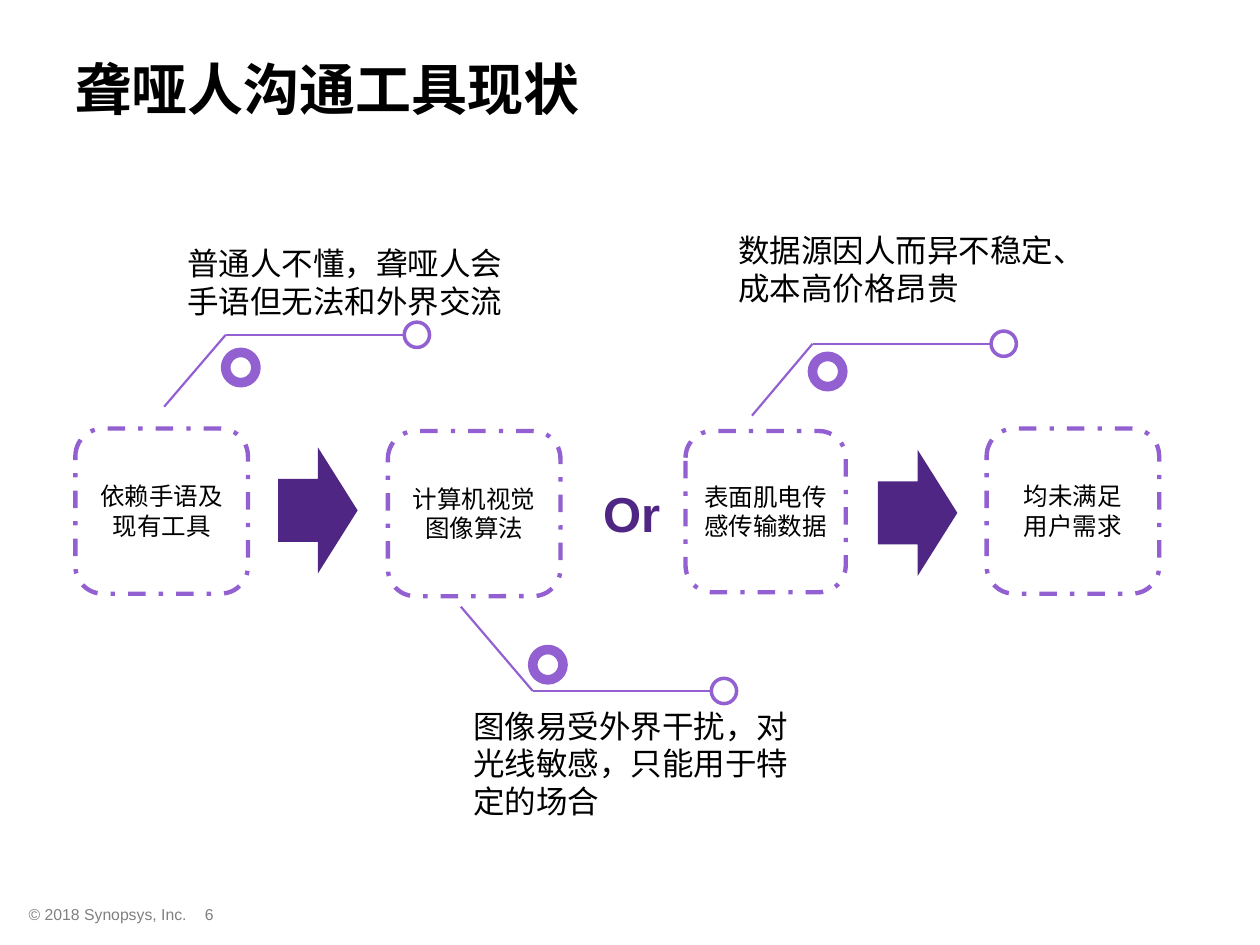
from dataclasses import dataclass

from lxml.etree import SubElement
from pptx import Presentation
from pptx.dml.color import RGBColor
from pptx.enum.dml import MSO_LINE
from pptx.enum.shapes import MSO_CONNECTOR, MSO_SHAPE
from pptx.enum.text import MSO_ANCHOR, PP_ALIGN
from pptx.oxml.ns import qn
from pptx.util import Cm, Pt


@dataclass(frozen=True)
class Theme:
    black: RGBColor = RGBColor(0x00, 0x00, 0x00)
    white: RGBColor = RGBColor(0xFF, 0xFF, 0xFF)
    grey: RGBColor = RGBColor(0x80, 0x80, 0x80)
    violet: RGBColor = RGBColor(0x92, 0x60, 0xD1)
    purple: RGBColor = RGBColor(0x4F, 0x26, 0x83)
    latin: str = "Arial"
    chinese: str = "Noto Sans CJK SC"
    title: int = 32
    choice: int = 28
    note: int = 18
    label: int = 14
    footer: int = 9


THEME = Theme()


def write(shape, text, size, align=PP_ALIGN.LEFT, anchor=MSO_ANCHOR.TOP,
          color=THEME.black, bold=False, name=THEME.latin, spacing=None):
    frame = shape.text_frame
    frame.word_wrap = True
    frame.vertical_anchor = anchor
    paragraph = frame.paragraphs[0]
    paragraph.alignment = align
    paragraph.line_spacing = spacing
    run = paragraph.add_run()
    run.text = text
    for key, value in {"name": name, "size": Pt(size), "bold": bold}.items():
        setattr(run.font, key, value)
    run.font.color.rgb = color
    SubElement(run.font._element, qn("a:ea")).set("typeface", THEME.chinese)


def add_text(slide, box, text, size, **formats):
    shape = slide.shapes.add_textbox(*map(Cm, box))
    write(shape, text, size, **formats)


def add_preset(slide, kind, box, fill=None, line_width=None, dash=None):
    shape = slide.shapes.add_shape(kind, *map(Cm, box))
    shape.shadow.inherit = False
    if fill is None:
        shape.fill.background()
    else:
        shape.fill.solid()
        shape.fill.fore_color.rgb = fill
    if line_width is None:
        shape.line.fill.background()
    else:
        shape.line.color.rgb = THEME.violet
        shape.line.width = Pt(line_width)
        shape.line.dash_style = dash


def add_line(slide, start, end):
    line = slide.shapes.add_connector(MSO_CONNECTOR.STRAIGHT, *map(Cm, start + end))
    line.line.color.rgb = THEME.violet
    line.line.width = Pt(1.25)
    SubElement(line._element.spPr, qn("a:effectLst"))


def add_circle(slide, center_x, center_y, size, line_width):
    box = (center_x - size / 2, center_y - size / 2, size, size)
    add_preset(slide, MSO_SHAPE.OVAL, box, THEME.white, line_width)


def add_card(slide, box, text, label_width):
    """Dashed card with a label centred on it."""
    left, top, width, height = box
    add_preset(slide, MSO_SHAPE.ROUNDED_RECTANGLE, box, None, 2.5, MSO_LINE.DASH_DOT)
    label_height = 1.45
    label = (left + (width - label_width) / 2, top + (height - label_height) / 2,
             label_width, label_height)
    add_text(slide, label, text, THEME.label, align=PP_ALIGN.CENTER,
             name=THEME.chinese)


def add_callout(slide, elbow, tail, ring_drop, note_offset, note_height, text):
    """Bent leader with two circles and a note, placed around its elbow."""
    x, y = elbow
    run, end_size, ring_size = 3.6, 0.51, 0.61
    add_line(slide, (x + tail[0], y + tail[1]), elbow)
    add_line(slide, elbow, (x + run, y))
    add_circle(slide, x + ring_size / 2, y + ring_drop, ring_size, 5.5)
    add_circle(slide, x + run + end_size / 2, y, end_size, 2)
    note = (x + note_offset[0], y + note_offset[1], 7.04, note_height)
    add_text(slide, note, text, THEME.note)


def add_title(slide, box, text):
    title = slide.shapes.title
    for key, value in zip(("left", "top", "width", "height"), box):
        setattr(title, key, Cm(value))
    write(title, text, THEME.title, anchor=MSO_ANCHOR.MIDDLE, bold=True)


def add_footer(slide, box):
    left, top, width, height = box
    add_text(slide, box, "© 2018 Synopsys, Inc.", THEME.footer, color=THEME.grey)
    add_text(slide, (left + 3, top, 1.78, height), "6", THEME.footer,
             align=PP_ALIGN.CENTER, color=THEME.grey)


def main():
    presentation = Presentation()
    presentation.slide_width, presentation.slide_height = Cm(25.4), Cm(19.05)
    slide = presentation.slides.add_slide(presentation.slide_layouts[5])
    add_title(slide, (1.27, 0.18, 24.13, 3.18), "聋哑人沟通工具现状")

    # Flow of cards, arrows and the choice between methods
    for box, text, label_width in (
        ((1.52, 8.64, 3.48, 3.33), "依赖手语及现有工具", 3.0),
        ((7.82, 8.69, 3.48, 3.33), "计算机视觉图像算法", 3.07),
        ((13.82, 8.69, 3.23, 3.25), "表面肌电传感传输数据", 3.18),
        ((19.89, 8.64, 3.48, 3.33), "均未满足用户需求", 2.67),
    ):
        add_card(slide, box, text, label_width)
    for left, top in ((5.61, 9.02), (17.7, 9.07)):
        add_preset(slide, MSO_SHAPE.RIGHT_ARROW, (left, top, 1.6, 2.54), THEME.purple)
    add_text(slide, (11.91, 9.63, 1.88, 1.45), "Or", THEME.choice,
             color=THEME.purple, bold=True)

    # Drawbacks of each method
    for callout in (
        ((4.55, 6.75), (-1.24, 1.45), 0.66, (-1.02, -1.95), 1.8,
         "普通人不懂，聋哑人会手语但无法和外界交流"),
        ((10.74, 13.93), (-1.45, -1.7), -0.53, (-1.45, 0.19), 2.57,
         "图像易受外界干扰，对光线敏感，只能用于特定的场合"),
        ((16.38, 6.93), (-1.22, 1.45), 0.56, (-1.75, -2.39), 1.8,
         "数据源因人而异不稳定、成本高价格昂贵"),
    ):
        add_callout(slide, *callout)

    add_footer(slide, (0.33, 18.11, 7.82, 0.64))
    presentation.save("out.pptx")


if __name__ == "__main__":
    main()
